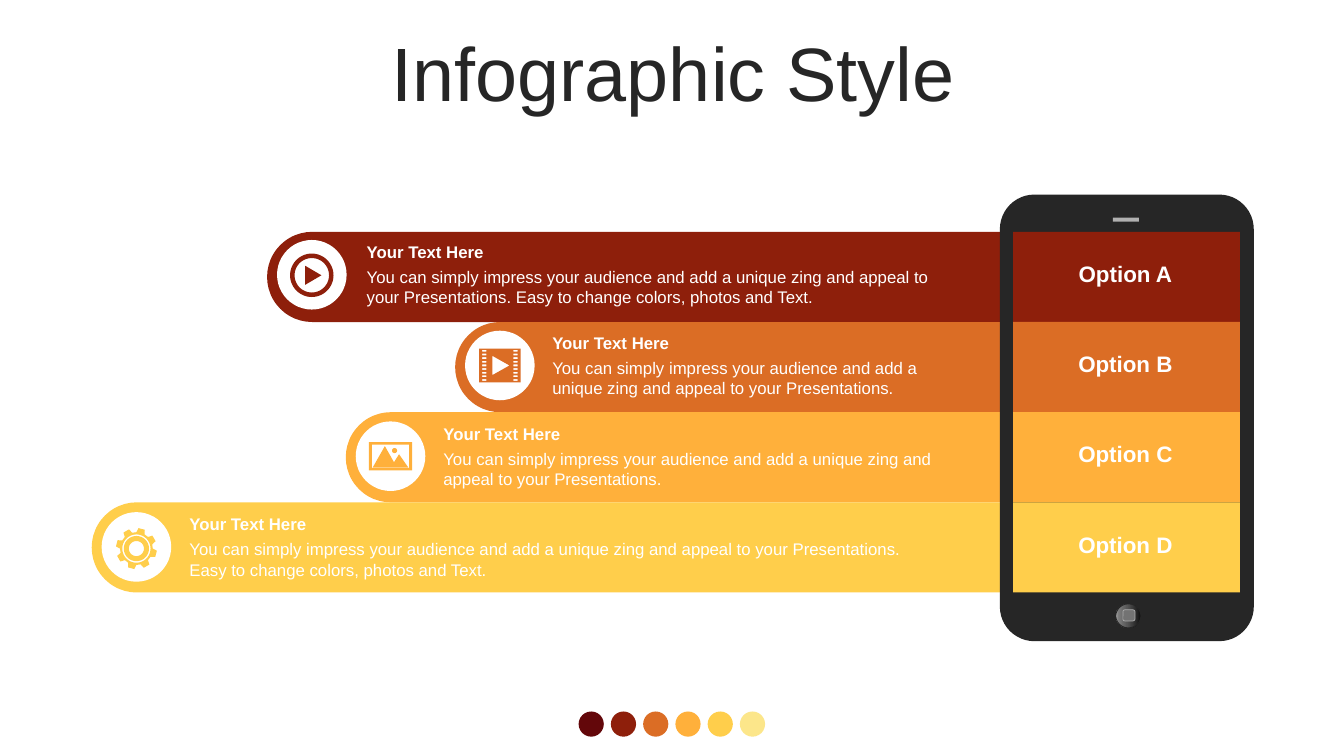
from copy import deepcopy
from math import cos, radians, sin

from pptx import Presentation
from pptx.dml.color import RGBColor
from pptx.enum import shapes, text
from pptx.util import Pt

FONT = "Arial"
DARK, WHITE, GREY = "262626", "FFFFFF", "B0B0B0"
PALETTE = ["63070A", "8E1F0B", "DB6D25", "FFB03B", "FFCE4B", "FCE68A"]

ROW_TOP, ROW_HEIGHT = 165.6, 64.4
CONTENT_TOP, CONTENT_STEP = 169.2, 64.8
BAR_RIGHT, TEXT_RIGHT = 714.2, 675.4
DISC = 49.7

HEADING = "Your Text Here"
SHORT = ("You can simply impress your audience and add a unique zing "
         "and appeal to your Presentations.")
LONG = SHORT + " Easy to change colors, photos and Text."


def rgb(value):
    return RGBColor.from_string(value)


def paint(shape, fill, line=None, width=0):
    shape.shadow.inherit = False
    shape.fill.solid()
    shape.fill.fore_color.rgb = rgb(fill)
    if line:
        shape.line.color.rgb = rgb(line)
        shape.line.width = Pt(width)
    else:
        shape.line.fill.background()


def add_preset(slide, kind, left, top, width, height, fill, line=None, line_width=0):
    shape = slide.shapes.add_shape(kind, Pt(left), Pt(top), Pt(width), Pt(height))
    paint(shape, fill, line, line_width)
    return shape


def style(paragraph, size, color, bold=False, align=text.PP_ALIGN.LEFT):
    paragraph.alignment = align
    font = paragraph.font
    font.name, font.size, font.bold = FONT, Pt(size), bold
    font.color.rgb = rgb(color)


def add_label(slide, wording, left, top, width, height, size=12, bold=False,
              align=text.PP_ALIGN.LEFT):
    frame = slide.shapes.add_textbox(Pt(left), Pt(top), Pt(width), Pt(height)).text_frame
    frame.word_wrap = True
    frame.text = wording
    style(frame.paragraphs[0], size, WHITE, bold, align)


def polar(radius, degrees):
    return radius * cos(radians(degrees)), radius * sin(radians(degrees))


def circle(radius, x=0, y=0):
    return [(x + dx, y + dy) for dx, dy in (polar(radius, a) for a in range(0, 360, 6))]


def box(left, top, width, height):
    right, bottom = left + width, top + height
    return [(left, top), (right, top), (right, bottom), (left, bottom)]


# Each icon is a list of outlines around its centre; nested outlines cut holes.
def play_icon():
    return [circle(15.5), circle(12.3), [(-4.7, -6.8), (6.9, 0), (-4.7, 6.8)]]


def film_icon():
    holes = [box(x, -11.1 + 2.6 * i, 2.9, 1.3) for i in range(9) for x in (-12.6, 9.7)]
    return [box(-14.75, -12, 29.5, 24), [(-5.4, -6.9), (6.9, 0), (-5.4, 6.9)]] + holes


def photo_icon():
    mountains = [(-4, -7.2), (2.5, 4.3), (6.1, -1.4), (12.6, 7.9), (-12.6, 7.9)]
    return [box(-15.5, -10.1, 31, 20.2), box(-13.3, -8.3, 26.6, 16.6),
            mountains, circle(1.8, 2.9, -4)]


def gear_icon():
    tooth = [(11.7, -15), (14.7, -9), (14.7, 9), (11.7, 15)]
    rim = [polar(radius, middle + turn)
           for middle in range(-75, 285, 45) for radius, turn in tooth]
    return [rim, circle(10.1), circle(9), circle(5.4)]


def add_icon(slide, outlines, x, y, color):
    builder = None
    for outline in outlines:
        points = [(Pt(px), Pt(py)) for px, py in outline]
        if builder is None:
            builder = slide.shapes.build_freeform(*points[0])
        else:
            builder.move_to(*points[0])
        builder.add_line_segments(points[1:], close=True)
    paint(builder.convert_to_shape(Pt(x), Pt(y)), color)


def add_title(slide, wording):
    title = slide.shapes.title
    title.left, title.top, title.width, title.height = Pt(25.2), Pt(26.6), Pt(911.5), Pt(56.9)
    frame = title.text_frame
    frame.text = wording
    frame.auto_size = text.MSO_AUTO_SIZE.NONE
    frame.vertical_anchor = text.MSO_ANCHOR.MIDDLE
    style(frame.paragraphs[0], 54, DARK, align=text.PP_ALIGN.CENTER)
    frame.paragraphs[0].line_spacing = 0.9


def add_bar(slide, index, left, color):
    """Draw a bar with a round left end: an upright shape turned on its side."""
    length = BAR_RIGHT - left
    center_y = ROW_TOP + (index + 0.5) * ROW_HEIGHT
    bar = add_preset(slide, shapes.MSO_SHAPE.ROUND_2_SAME_RECTANGLE,
                     left + (length - ROW_HEIGHT) / 2, center_y - length / 2,
                     ROW_HEIGHT, length, color)
    bar.adjustments[0], bar.adjustments[1] = 0.5, 0
    bar.rotation = 270


def add_bar_content(slide, index, bar_left, text_left, body, outlines, icon_drop, color):
    top = CONTENT_TOP + index * CONTENT_STEP
    width = TEXT_RIGHT - text_left
    add_label(slide, body, text_left, top + 18, width, 36)
    add_label(slide, HEADING, text_left, top, width, 21.6, bold=True)
    disc_left, disc_top = bar_left + 7.1, top + 2.2
    add_preset(slide, shapes.MSO_SHAPE.OVAL, disc_left, disc_top, DISC, DISC, WHITE)
    add_icon(slide, outlines, disc_left + DISC / 2, disc_top + DISC / 2 + icon_drop, color)


def add_phone(slide):
    kinds = shapes.MSO_SHAPE
    case = add_preset(slide, kinds.ROUNDED_RECTANGLE, 714.2, 139, 181.4, 319, DARK)
    case.adjustments[0] = 0.136
    add_preset(slide, kinds.RECTANGLE, 794.9, 155.5, 18.7, 2.9, GREY)
    button = add_preset(slide, kinds.OVAL, 797, 431.3, 18, 17.3, DARK, DARK)
    shade(button, [(0, "0F0F0F"), (0.56, "595959"), (0.91, "808080"), (1, "BFBFBF")])
    add_preset(slide, kinds.ROUNDED_RECTANGLE, 802.1, 435.6, 8.6, 7.9, "737373", GREY, 0.5)


def shade(shape, stops):
    """Fill with a gradient that runs from right to left."""
    shape.fill.gradient()
    shape.fill.gradient_angle = 180
    stop_list = shape.fill.gradient_stops[0]._gs.getparent()
    for _ in stops[2:]:
        stop_list.append(deepcopy(stop_list[0]))
    for stop, (position, color) in zip(shape.fill.gradient_stops, stops):
        stop.position = position
        stop.color.rgb = rgb(color)


def add_option(slide, index, letter, color):
    top = ROW_TOP + index * ROW_HEIGHT
    add_preset(slide, shapes.MSO_SHAPE.RECTANGLE, 723.6, top, 162, ROW_HEIGHT, color)
    add_label(slide, f"Option {letter}", 754.6, top + 16.7, 98.6, 28.8, 16, True,
              text.PP_ALIGN.CENTER)


def main():
    deck = Presentation()
    deck.slide_width, deck.slide_height = Pt(960), Pt(540)
    slide = deck.slides.add_slide(deck.slide_layouts[5])

    for i, color in enumerate(PALETTE):
        add_preset(slide, shapes.MSO_SHAPE.OVAL, 413.3 + 23.04 * i, 508.2, 18, 18, color)
    add_title(slide, "Infographic Style")

    # Bar left, text left, body, icon outlines, icon shift down
    rows = [
        (190.8, 254.9, LONG, play_icon(), 0.4),
        (325.1, 387.4, SHORT, film_icon(), 0),
        (247, 309.6, SHORT, photo_icon(), 0),
        (65.5, 128.2, LONG, gear_icon(), 1.2),
    ]
    colors = PALETTE[1:5]
    for i, (row, color) in enumerate(zip(rows, colors)):
        add_bar(slide, i, row[0], color)
    for i, (row, color) in enumerate(zip(rows, colors)):
        add_bar_content(slide, i, *row, color)
    add_phone(slide)
    for i, (letter, color) in enumerate(zip("ABCD", colors)):
        add_option(slide, i, letter, color)
    deck.save("out.pptx")


if __name__ == "__main__":
    main()
